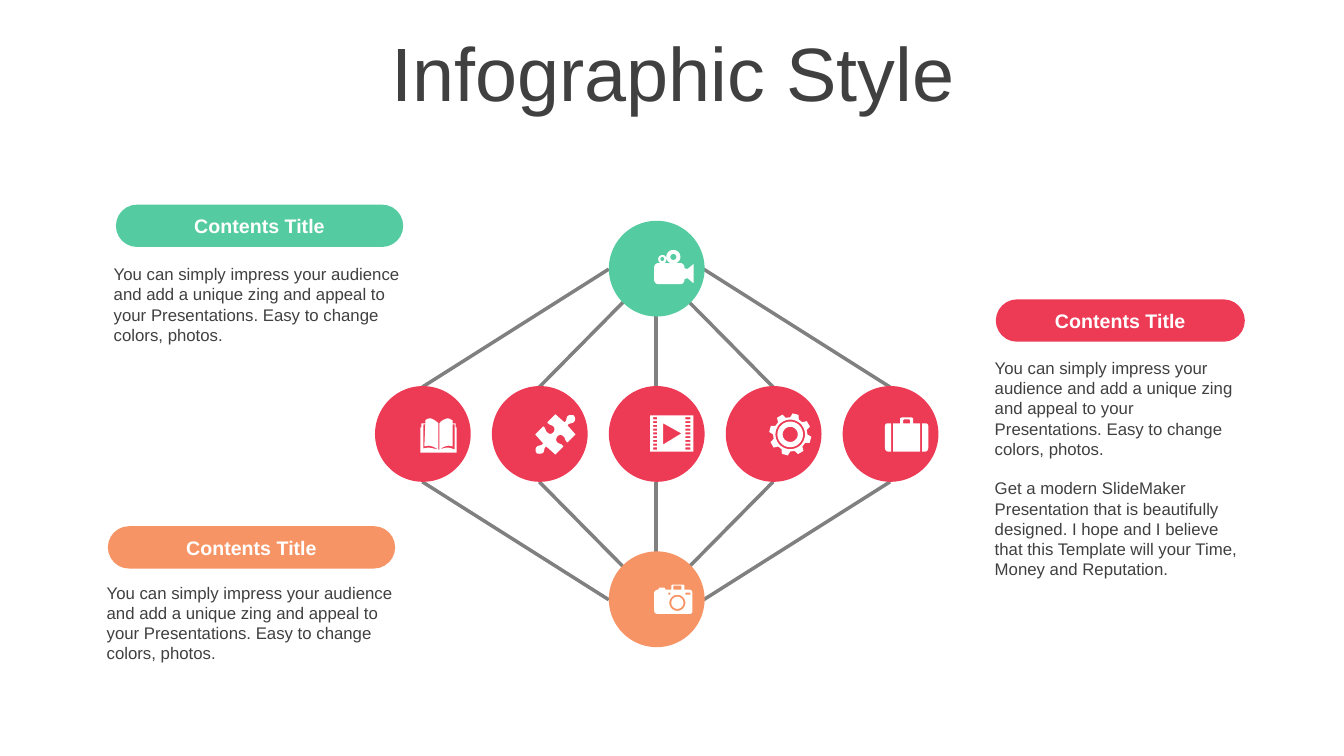
from math import cos, radians, sin

from lxml import etree
from pptx import Presentation
from pptx.dml.color import RGBColor
from pptx.enum.shapes import MSO_CONNECTOR, MSO_SHAPE
from pptx.enum.text import MSO_ANCHOR, PP_ALIGN
from pptx.oxml.ns import qn
from pptx.util import Emu, Pt

PX = 9144
ELLIPSE = MSO_SHAPE.OVAL
PILL = MSO_SHAPE.ROUNDED_RECTANGLE
STRAIGHT = MSO_CONNECTOR.STRAIGHT
LEFT, CENTER = PP_ALIGN.LEFT, PP_ALIGN.CENTER
TOP, MIDDLE = MSO_ANCHOR.TOP, MSO_ANCHOR.MIDDLE
COLORS = {"green": "54CBA0", "red": "ED3B55", "orange": "F79465",
          "gray": "808080", "text": "404040", "white": "FFFFFF"}


def color(name):
    return RGBColor.from_string(COLORS[name])


def polar(x, y, radius, degrees):
    return x + radius * cos(radians(degrees)), y + radius * sin(radians(degrees))


def circle(x, y, radius):
    return [polar(x, y, radius, degrees) for degrees in range(0, 360, 10)]


def box(x, y, width, height):
    return [(x, y), (x + width, y), (x + width, y + height), (x, y + height)]


def flatten(contour):
    points = [contour[0]]
    for step in contour[1:]:
        if len(step) == 2:
            points.append(step)
            continue
        x0, y0 = points[-1]
        x1, y1, x2, y2, x3, y3 = step
        for part in range(1, 7):
            t = part / 6
            a, b, c, d = (1 - t) ** 3, 3 * t * (1 - t) ** 2, 3 * t * t * (1 - t), t ** 3
            points.append((a * x0 + b * x1 + c * x2 + d * x3,
                           a * y0 + b * y1 + c * y2 + d * y3))
    return points


class InfographicSlide:
    font = "Arial"
    line_width = 2.5

    def __init__(self, presentation):
        self.shapes = presentation.slides.add_slide(presentation.slide_layouts[6]).shapes

    def paint(self, shape, fill):
        shape.shadow.inherit = False
        shape.fill.solid()
        shape.fill.fore_color.rgb = color(fill)
        shape.line.fill.background()

    def add_texts(self, frame, texts, size, fill="text", bold=False, align=LEFT,
                  anchor=TOP, gap=0, spacing=1.0):
        frame.word_wrap = True
        frame.vertical_anchor = anchor
        for index, text in enumerate(texts):
            paragraph = frame.add_paragraph() if index else frame.paragraphs[0]
            paragraph.alignment = align
            paragraph.line_spacing = spacing
            paragraph.space_before = Pt(gap if index else 0)
            run = paragraph.add_run()
            run.text = text
            run.font.name = self.font
            run.font.size = Pt(size)
            run.font.bold = bold
            run.font.color.rgb = color(fill)

    def text(self, x, y, width, height, texts, size, **style):
        shape = self.shapes.add_textbox(*(Emu(n * PX) for n in (x, y, width, height)))
        self.add_texts(shape.text_frame, texts, size, **style)

    def block(self, kind, x, y, width, height, fill):
        shape = self.shapes.add_shape(kind, *(Emu(n * PX) for n in (x, y, width, height)))
        self.paint(shape, fill)
        return shape

    def pill(self, x, y, width, height, fill, title):
        shape = self.block(PILL, x, y, width, height, fill)
        shape.adjustments[0] = 0.5
        self.add_texts(shape.text_frame, [title], 14, "white", True, CENTER, MIDDLE)

    def node(self, x, y, fill):
        self.block(ELLIPSE, x - 47, y - 48, 95, 95, fill)

    def link(self, x1, y1, x2, y2):
        line = self.shapes.add_connector(STRAIGHT, *(Emu(n * PX) for n in (x1, y1, x2, y2)))
        line.line.color.rgb = color("gray")
        line.line.width = Pt(self.line_width)
        etree.SubElement(line._element.spPr, qn("a:effectLst"))

    def icon(self, contours):
        builder = None
        for contour in contours:
            first, *others = [(x * PX, y * PX) for x, y in flatten(contour)]
            if builder is None:
                builder = self.shapes.build_freeform(*first)
            else:
                builder.move_to(*first)
            builder.add_line_segments(others, close=True)
        self.paint(builder.convert_to_shape(), "white")


CAMERA = [
    circle(672, 598, 6), circle(672, 598, 8),
    box(663, 588, 2, 2), box(680, 588, 5, 2), box(668, 581, 8, 4),
    [(667, 580), (678, 580), (679, 581), (679, 585), (684, 585),
     (686, 585, 687, 587, 687, 588), (687, 606), (687, 608, 686, 609, 684, 609),
     (652, 609), (651, 609, 649, 608, 649, 606), (649, 588),
     (649, 587, 651, 585, 652, 585), (653, 585), (654, 583), (659, 583),
     (660, 584), (660, 585), (666, 585), (666, 581)],
]
MOVIE_CAMERA = [
    circle(657, 257, 2), circle(668, 255, 3),
    [(668, 248), (672, 248, 675, 251, 675, 255), (675, 258, 673, 260, 671, 261),
     (675, 261), (677, 261, 679, 263, 679, 265), (679, 266), (682, 267),
     (688, 262), (688, 281), (682, 276), (679, 277), (679, 278),
     (679, 280, 677, 282, 675, 282), (653, 282), (651, 282, 649, 280, 649, 278),
     (649, 265), (649, 263, 651, 261, 653, 261), (656, 261),
     (654, 261, 653, 259, 653, 257), (653, 255, 655, 253, 657, 253),
     (660, 253, 661, 255, 661, 257), (661, 259, 660, 261, 659, 261), (665, 261),
     (663, 260, 661, 258, 661, 255), (661, 251, 664, 248, 668, 248)],
]
PUZZLE_HALF = [
    (569, 412), (571, 414, 571, 416, 570, 418), (568, 421, 565, 419, 563, 422),
    (571, 431), (563, 439), (560, 437, 561, 434, 559, 433),
    (557, 431, 555, 431, 553, 433), (552, 434, 551, 437, 553, 439),
    (556, 441, 557, 440, 559, 443), (551, 451), (542, 443),
    (539, 445, 541, 446, 539, 449), (537, 451, 534, 450, 533, 450),
]
PUZZLE = [PUZZLE_HALF + [
    tuple((1102 if index % 2 == 0 else 862) - value for index, value in enumerate(step))
    for step in PUZZLE_HALF
]]
BOOK = [
    [(435, 446), (436, 446), (442, 444, 444, 443, 451, 446), (451, 421), (449, 421),
     (449, 443), (445, 441, 440, 443, 436, 446), (436, 420),
     (438, 417, 441, 416, 444, 415), (445, 415, 447, 416, 449, 417), (449, 420),
     (452, 420), (452, 424), (453, 424), (453, 449), (417, 449), (417, 424),
     (418, 424), (418, 420), (422, 420), (422, 417), (423, 416, 425, 415, 427, 415),
     (430, 416, 432, 417, 435, 420), (435, 446), (430, 443, 426, 441, 421, 443),
     (422, 421), (420, 421), (420, 445), (426, 443, 429, 445, 435, 446)],
]
FILM = [box(645, 412, 43, 36), [(658, 420), (658, 441), (676, 430)]] + [
    box(x, 414 + row * 3.75, width, 2) for row in range(9) for x, width in ((648, 4), (680, 5))
]
GEAR = [
    [polar(784, 431, radius, tooth + offset) for tooth in range(15, 375, 45)
     for radius, offset in ((17, -15), (21, -8.5), (21, 8.5), (17, 15))],
    circle(784, 431, 14.7), circle(784, 431, 12.7), circle(784, 431, 7.5),
]
SUITCASE = [
    [(915, 420), (918, 420), (920, 420, 921, 421, 921, 423), (921, 444),
     (921, 446, 920, 448, 918, 448), (915, 448)],
    [(884, 420), (884, 448), (881, 448), (879, 448, 878, 446, 878, 444),
     (878, 423), (878, 421, 879, 420, 881, 420)],
    [(897, 416), (896, 417), (896, 420), (903, 420), (903, 417), (902, 416)],
    [(895, 414), (904, 414), (906, 415), (906, 420), (913, 420), (913, 448),
     (886, 448), (886, 420), (893, 420), (893, 415)],
]
IMPRESS = ("You can simply impress your audience and add a unique zing and appeal "
           "to your Presentations. Easy to change colors, photos.")
MODERN = ("Get a modern SlideMaker Presentation that is beautifully designed. I hope "
          "and I believe that this Template will your Time, Money and Reputation.")
CARDS = [
    ("orange", (107, 522, 285, 42), (96, 573, 308, 91), [IMPRESS]),
    ("green", (115, 203, 285, 42), (103, 257, 309, 91), [IMPRESS]),
    ("red", (988, 297, 247, 42), (977, 350, 268, 212), [IMPRESS, MODERN]),
]
HUB_X, ROW_Y, STEP, HUB_DISTANCE = 651, 431, 116, 164
HUB_ENDS = [(-47, 0), (-33, 33), (0, 47), (33, 33), (47, 0)]


def main():
    presentation = Presentation()
    presentation.slide_width, presentation.slide_height = Emu(12192000), Emu(750 * PX)
    slide = InfographicSlide(presentation)
    slide.text(35, 37, 1266, 79, ["Infographic Style"], 54,
               align=CENTER, anchor=MIDDLE, spacing=0.9)

    centers = [HUB_X + STEP * (index - 2) for index in range(5)]
    for side, fill in ((-1, "green"), (1, "orange")):
        hub_y = ROW_Y + side * HUB_DISTANCE
        for x, (dx, dy) in zip(centers, HUB_ENDS):
            slide.link(x, ROW_Y + side * 47, HUB_X + dx, hub_y - side * dy)
        slide.node(HUB_X, hub_y, fill)
    for x in centers:
        slide.node(x, ROW_Y, "red")

    for fill, pill, body, texts in CARDS:
        slide.pill(*pill, fill, "Contents Title")
        slide.text(*body, texts, 12, gap=14)
    for icon in (CAMERA, MOVIE_CAMERA, PUZZLE, BOOK, FILM, SUITCASE, GEAR):
        slide.icon(icon)
    presentation.save("out.pptx")


if __name__ == "__main__":
    main()
